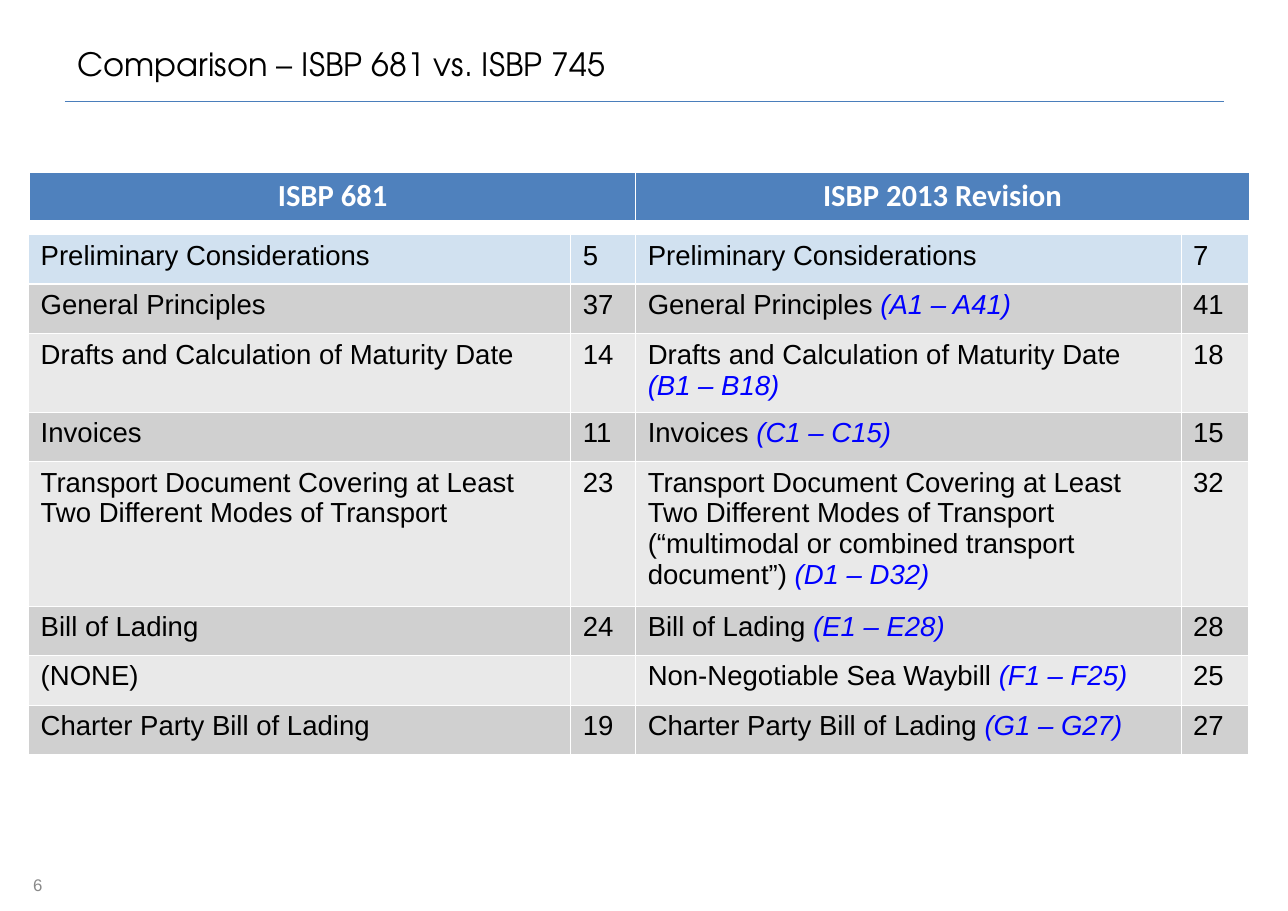
from dataclasses import dataclass

from lxml.etree import SubElement
from pptx import Presentation
from pptx.dml.color import RGBColor
from pptx.enum.shapes import MSO_CONNECTOR
from pptx.enum.text import MSO_ANCHOR, PP_ALIGN
from pptx.oxml.ns import qn
from pptx.slide import Slide
from pptx.table import Table, _Cell
from pptx.text.text import _Paragraph
from pptx.util import Inches, Length, Pt


@dataclass(frozen=True)
class TextStyle:
    font: str
    size: float
    color: str
    bold: bool = False
    italic: bool = False


@dataclass(frozen=True)
class Theme:
    title: TextStyle = TextStyle("TeX Gyre Adventor", 21, "000000")
    header: TextStyle = TextStyle("Calibri", 20, "FFFFFF", bold=True)
    body: TextStyle = TextStyle("Arial", 18, "000000")
    reference: TextStyle = TextStyle("Arial", 18, "0000FF", italic=True)
    number: TextStyle = TextStyle("Arial", 11, "898989")
    rule_color: str = "4A7EBB"
    rule_width: float = 0.75
    header_fill: str = "4F81BD"
    first_fill: str = "D1E1F0"
    band_fills: tuple[str, str] = ("D0D0D0", "E9E9E9")
    border_color: str = "FFFFFF"
    thin_border: float = 0.45
    thick_border: float = 1.47


@dataclass(frozen=True)
class Area:
    left: float
    top: float
    width: float
    height: float


@dataclass(frozen=True)
class Section:
    old_title: str
    old_count: str
    new_title: str
    new_count: str
    reference: str = ""
    reference_on_new_line: bool = False
    rows: float = 4.5


THEME = Theme()

# The page is a grid of square cells, a tenth of an inch each
PAGE_COLUMNS, PAGE_ROWS = 116.9, 82.7
TITLE_AREA = Area(5.9, 3.3, 105.2, 4.9)
NUMBER_AREA = Area(1.9, 78.1, 27.3, 4.4)
RULE_ROW = 9.2
HEADER_LEFT, HEADER_TOP, HEADER_ROWS = 2.7, 15.6, 4.5
HEADER_COLUMNS = (55, 55.7)
BODY_LEFT, BODY_TOP = 2.6, 21.3
BODY_COLUMNS = (49.2, 5.9, 49.5, 6.1)

HEADINGS = ("ISBP 681", "ISBP 2013 Revision")
SECTIONS = (
    Section("Preliminary Considerations", "5", "Preliminary Considerations", "7"),
    Section("General Principles", "37", "General Principles", "41", "(A1 – A41)"),
    Section("Drafts and Calculation of Maturity Date", "14",
            "Drafts and Calculation of Maturity Date", "18", "(B1 – B18)",
            reference_on_new_line=True, rows=7.1),
    Section("Invoices", "11", "Invoices", "15", "(C1 – C15)"),
    Section("Transport Document Covering at Least Two Different Modes of Transport", "23",
            "Transport Document Covering at Least Two Different Modes of Transport "
            "(“multimodal or combined transport document”)", "32", "(D1 – D32)", rows=13.1),
    Section("Bill of Lading", "24", "Bill of Lading", "28", "(E1 – E28)"),
    Section("(NONE)", "", "Non-Negotiable Sea Waybill", "25", "(F1 – F25)"),
    Section("Charter Party Bill of Lading", "19", "Charter Party Bill of Lading", "27",
            "(G1 – G27)"),
)


def grid(cells: float) -> Length:
    return Inches(cells / 10)


def add_span(para: _Paragraph, text: str, style: TextStyle) -> None:
    span = para.add_run()
    span.text = text
    span.font.name = style.font
    span.font.size = Pt(style.size)
    span.font.bold = style.bold
    span.font.italic = style.italic
    span.font.color.rgb = RGBColor.from_string(style.color)


def add_label(page: Slide, area: Area, text: str, style: TextStyle) -> None:
    box = page.shapes.add_textbox(grid(area.left), grid(area.top),
                                  grid(area.width), grid(area.height))
    frame = box.text_frame
    frame.word_wrap = True
    frame.vertical_anchor = MSO_ANCHOR.MIDDLE
    frame.margin_left = frame.margin_right = grid(1.1)
    frame.margin_top = frame.margin_bottom = grid(0.6)
    add_span(frame.paragraphs[0], text, style)


def add_rule(page: Slide) -> None:
    right = TITLE_AREA.left + TITLE_AREA.width
    rule = page.shapes.add_connector(MSO_CONNECTOR.STRAIGHT, grid(TITLE_AREA.left),
                                     grid(RULE_ROW), grid(right), grid(RULE_ROW))
    rule.line.color.rgb = RGBColor.from_string(THEME.rule_color)
    rule.line.width = Pt(THEME.rule_width)
    SubElement(rule._element.spPr, qn("a:effectLst"))


def add_grid_table(page: Slide, left: float, top: float,
                   columns: tuple[float, ...], rows: tuple[float, ...]) -> Table:
    frame = page.shapes.add_table(len(rows), len(columns), grid(left), grid(top),
                                  grid(sum(columns)), grid(sum(rows)))
    table = frame.table
    table.first_row = table.horz_banding = False
    for column, width in zip(table.columns, columns):
        column.width = grid(width)
    for row, height in zip(table.rows, rows):
        row.height = grid(height)
    return table


def style_cell(cell: _Cell, fill: str, thick_edge: str = "") -> None:
    cell.margin_left = cell.margin_right = grid(1.1)
    cell.margin_top = cell.margin_bottom = grid(0.5)
    # Borders come before the fill in the cell properties
    properties = cell._tc.get_or_add_tcPr()
    for edge in "LRTB":
        width = THEME.thick_border if edge == thick_edge else THEME.thin_border
        border = SubElement(properties, qn(f"a:ln{edge}"), w=str(Pt(width)))
        paint = SubElement(border, qn("a:solidFill"))
        SubElement(paint, qn("a:srgbClr"), val=THEME.border_color)
    cell.fill.solid()
    cell.fill.fore_color.rgb = RGBColor.from_string(fill)


def add_header_table(page: Slide) -> None:
    table = add_grid_table(page, HEADER_LEFT, HEADER_TOP, HEADER_COLUMNS, (HEADER_ROWS,))
    for column, heading in enumerate(HEADINGS):
        cell = table.cell(0, column)
        style_cell(cell, THEME.header_fill, "B")
        para = cell.text_frame.paragraphs[0]
        para.alignment = PP_ALIGN.CENTER
        add_span(para, heading, THEME.header)


def add_section_table(page: Slide) -> None:
    heights = tuple(section.rows for section in SECTIONS)
    table = add_grid_table(page, BODY_LEFT, BODY_TOP, BODY_COLUMNS, heights)
    for row, section in enumerate(SECTIONS):
        fill = THEME.band_fills[(row - 1) % 2] if row else THEME.first_fill
        thick_edge = {0: "B", 1: "T"}.get(row, "")
        texts = (section.old_title, section.old_count, section.new_title, section.new_count)
        for column, text in enumerate(texts):
            cell = table.cell(row, column)
            style_cell(cell, fill, thick_edge)
            para = cell.text_frame.paragraphs[0]
            if text:
                add_span(para, text, THEME.body)
            if column == 2 and section.reference:
                if section.reference_on_new_line:
                    para.add_line_break()
                else:
                    add_span(para, " ", THEME.body)
                add_span(para, section.reference, THEME.reference)


def main() -> None:
    deck = Presentation()
    deck.slide_width, deck.slide_height = grid(PAGE_COLUMNS), grid(PAGE_ROWS)
    page = deck.slides.add_slide(deck.slide_layouts[6])
    # Title and rule
    add_rule(page)
    add_label(page, TITLE_AREA, "Comparison – ISBP 681 vs. ISBP 745", THEME.title)
    # Comparison
    add_header_table(page)
    add_section_table(page)
    # Page number
    add_label(page, NUMBER_AREA, "6", THEME.number)
    deck.save("out.pptx")


if __name__ == "__main__":
    main()
